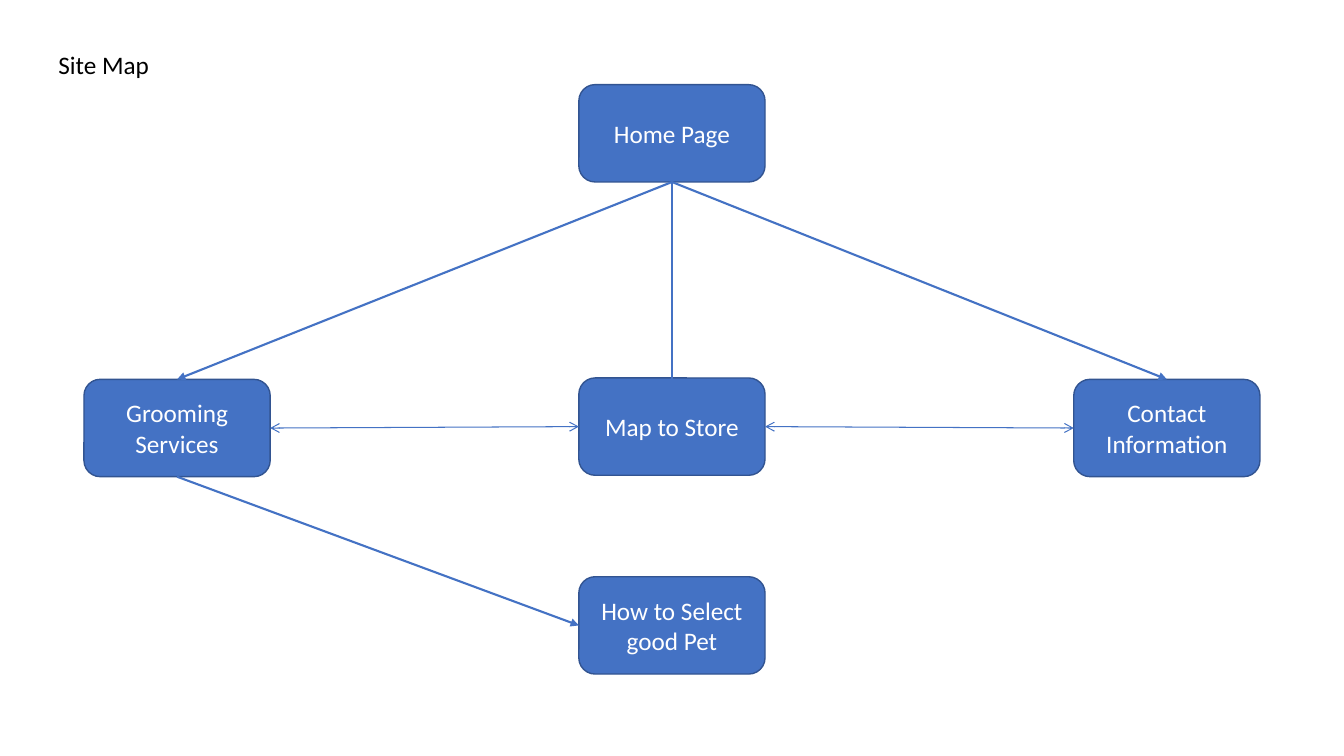
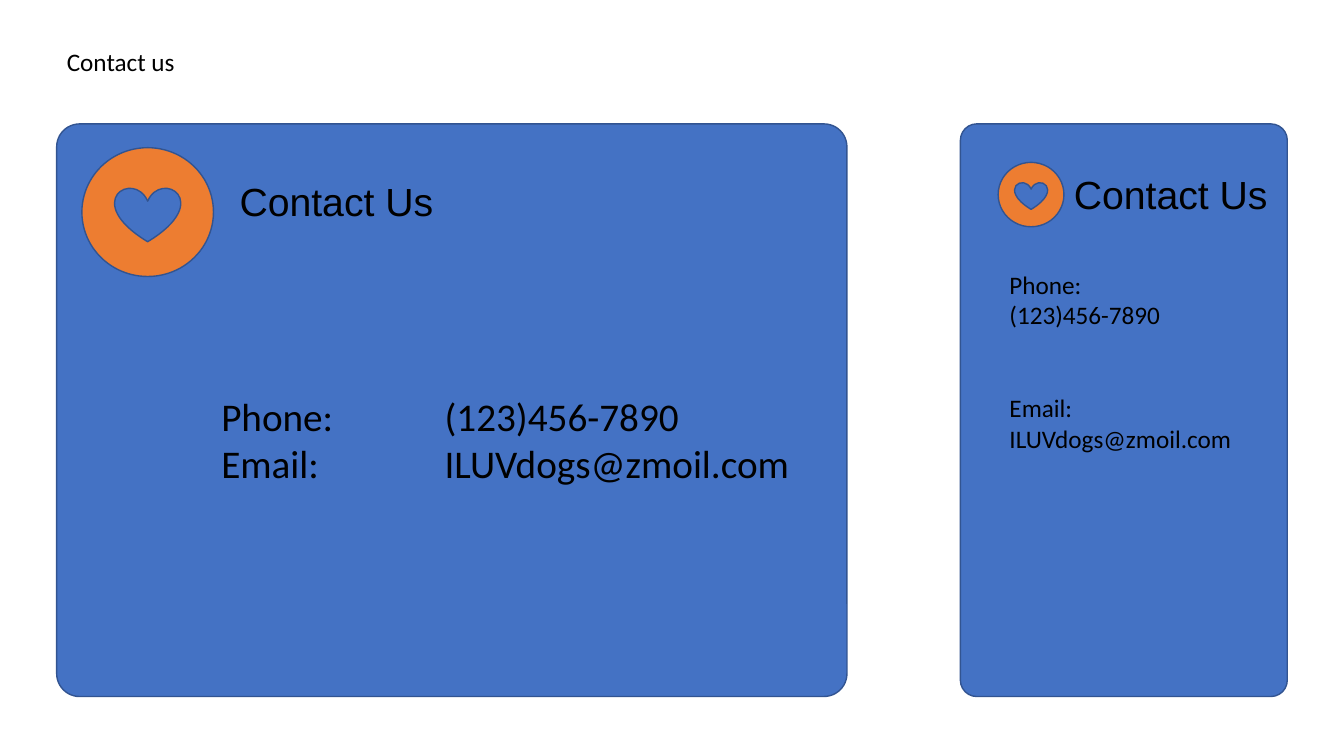
from dataclasses import dataclass
from typing import Optional

import pptx
import pptx.dml.color
import pptx.enum.dml
import pptx.enum.shapes
import pptx.enum.text
import pptx.oxml
import pptx.oxml.ns
import pptx.util
from pptx.util import Pt

RGB = pptx.dml.color.RGBColor
SHAPE = pptx.enum.shapes.MSO_SHAPE
ALIGN = pptx.enum.text.PP_ALIGN
ANCHOR = pptx.enum.text.MSO_ANCHOR
FIT = pptx.enum.text.MSO_AUTO_SIZE
TOP, LEFT, BOTTOM, RIGHT = range(4)


@dataclass(frozen=True)
class Theme:
    blue: RGB = RGB(0x44, 0x72, 0xC4)
    outline: RGB = RGB(0x32, 0x54, 0x91)
    orange: RGB = RGB(0xED, 0x7D, 0x31)
    black: RGB = RGB(0, 0, 0)
    white: RGB = RGB(0xFF, 0xFF, 0xFF)
    body_font: str = "Calibri"
    heading_font: str = "Arial"
    small: float = 18
    large: float = 28


THEME = Theme()


@dataclass(frozen=True)
class Area:
    left: float
    top: float
    width: float
    height: float

    def lengths(self) -> tuple:
        return Pt(self.left), Pt(self.top), Pt(self.width), Pt(self.height)


@dataclass(frozen=True)
class Node:
    name: str
    column: int
    top: float


@dataclass(frozen=True)
class Link:
    start: str
    start_side: int
    end: str
    end_side: int
    two_way: bool = False
    overrun: float = 0  # how far the tip reaches into the end box


@dataclass(frozen=True)
class Card:
    area: Area
    corner: float
    badge: Area
    heading: Area


@dataclass(frozen=True)
class Note:
    area: Area
    lines: tuple
    size: float


# Shared drawing functions
def write(shape, text: str, size: float, color: RGB = THEME.black,
          font: str = THEME.body_font, align: ALIGN = ALIGN.LEFT,
          anchor: ANCHOR = ANCHOR.TOP) -> None:
    frame = shape.text_frame
    frame.text = text
    frame.word_wrap = True
    frame.vertical_anchor = anchor
    for para in frame.paragraphs:
        para.alignment = align
        for span in para.runs:
            span.font.size = Pt(size)
            span.font.name = font
            span.font.color.rgb = color


def add_page(deck, title: str, area: Area):
    page = deck.slides.add_slide(deck.slide_layouts.get_by_name("Title Only"))
    box = page.shapes.title
    box.left, box.top, box.width, box.height = area.lengths()
    write(box, title, THEME.small)
    box.text_frame.auto_size = FIT.SHAPE_TO_FIT_TEXT
    return page


def add_text(page, area: Area, text: str, size: float,
             font: str = THEME.body_font) -> None:
    box = page.shapes.add_textbox(*area.lengths())
    write(box, text, size, font=font)
    box.text_frame.auto_size = FIT.SHAPE_TO_FIT_TEXT


def add_block(page, kind: SHAPE, area: Area, fill: RGB = THEME.blue,
              corner: Optional[float] = None):
    block = page.shapes.add_shape(kind, *area.lengths())
    block.shadow.inherit = False
    block.fill.solid()
    block.fill.fore_color.rgb = fill
    block.line.color.rgb = THEME.outline
    block.line.width = Pt(1)
    if corner is not None:
        block.adjustments[0] = corner
    return block


def add_link(page, boxes: dict, link: Link) -> None:
    line = page.shapes.add_connector(
        pptx.enum.shapes.MSO_CONNECTOR.STRAIGHT, 0, 0, 0, 0)
    line.begin_connect(boxes[link.start], link.start_side)
    end = boxes[link.end]
    if link.overrun:
        line.end_x = end.left + end.width // 2
        line.end_y = end.top + Pt(link.overrun)
    else:
        line.end_connect(end, link.end_side)
    line.line.color.rgb = THEME.blue
    line.line.width = Pt(0.75 if link.two_way else 1.5)
    stroke = line.line._get_or_add_ln()
    heads = (("a:headEnd", "arrow"), ("a:tailEnd", "arrow")) \
        if link.two_way else (("a:tailEnd", "triangle"),)
    for tag, kind in heads:
        head = pptx.oxml.ns.qn(tag)
        stroke.append(stroke.makeelement(head, {"type": kind}))
    properties = line._element.spPr
    properties.append(
        properties.makeelement(pptx.oxml.ns.qn("a:effectLst"), {}))


def add_badge(page, area: Area) -> None:
    """Circle with a heart half as wide, centred across."""
    add_block(page, SHAPE.OVAL, area, THEME.orange)
    heart = Area(area.left + area.width * 0.25, area.top + area.height * 0.31,
                 area.width * 0.5, area.height * 0.42)
    add_block(page, SHAPE.HEART, heart)


# Site map
BOX_WIDTH, BOX_HEIGHT = 133, 69.5
FIRST_COLUMN, COLUMN_STEP = 60, 353.5
HOME, GROOMING, STORE = "Home Page", "Grooming Services", "Map to Store"
CONTACT, SELECT = "Contact Information", "How to Select good Pet"

NODES = (
    Node(HOME, 1, 60.5),
    Node(GROOMING, 0, 271),
    Node(STORE, 1, 270),
    Node(CONTACT, 2, 271),
    Node(SELECT, 1, 412),
)
LINKS = (
    Link(HOME, BOTTOM, GROOMING, TOP),
    Link(HOME, BOTTOM, STORE, TOP, overrun=9),
    Link(HOME, BOTTOM, CONTACT, TOP),
    Link(STORE, RIGHT, CONTACT, LEFT, two_way=True),
    Link(STORE, LEFT, GROOMING, RIGHT, two_way=True),
    Link(GROOMING, BOTTOM, SELECT, LEFT),
)


def build_site_map(deck) -> None:
    page = add_page(deck, "Site Map", Area(34.5, 31.5, 85, 29))
    boxes = {}
    for node in NODES:
        area = Area(FIRST_COLUMN + node.column * COLUMN_STEP, node.top,
                    BOX_WIDTH, BOX_HEIGHT)
        box = add_block(page, SHAPE.ROUNDED_RECTANGLE, area)
        write(box, node.name, THEME.small, THEME.white,
              align=ALIGN.CENTER, anchor=ANCHOR.MIDDLE)
        boxes[node.name] = box
    for link in LINKS:
        add_link(page, boxes, link)


# Contact page, wide and narrow layouts
PHONE, EMAIL = "(123)456-7890", "ILUVdogs@zmoil.com"
CARDS = (
    Card(Area(40.5, 88.5, 564.5, 409), 0.04,
         Area(58.5, 105.5, 94, 92), Area(164, 123, 157, 41)),
    Card(Area(686, 88.5, 233.5, 409), 0.05,
         Area(713, 116, 47, 46), Area(760, 118, 157, 41)),
)
NOTES = (
    Note(Area(151, 277, 238, 75), ("Phone:", "Email:"), THEME.large),
    Note(Area(310.5, 277, 269, 75), (PHONE, EMAIL), THEME.large),
    Note(Area(714, 188.5, 177, 51), ("Phone:", PHONE), THEME.small),
    Note(Area(714, 277, 177, 51), ("Email:", EMAIL), THEME.small),
)


def build_contact(deck) -> None:
    page = add_page(deck, "Contact us", Area(40.5, 29.5, 141, 29))
    for card in CARDS:
        add_block(page, SHAPE.ROUNDED_RECTANGLE, card.area, corner=card.corner)
        add_badge(page, card.badge)
        add_text(page, card.heading, "Contact Us", THEME.large,
                 THEME.heading_font)
    for note in NOTES:
        add_text(page, note.area, "\n".join(note.lines), note.size)


def main() -> None:
    deck = pptx.Presentation()
    deck.slide_width, deck.slide_height = Pt(960), Pt(540)
    build_site_map(deck)
    build_contact(deck)
    deck.save("out.pptx")


if __name__ == "__main__":
    main()
